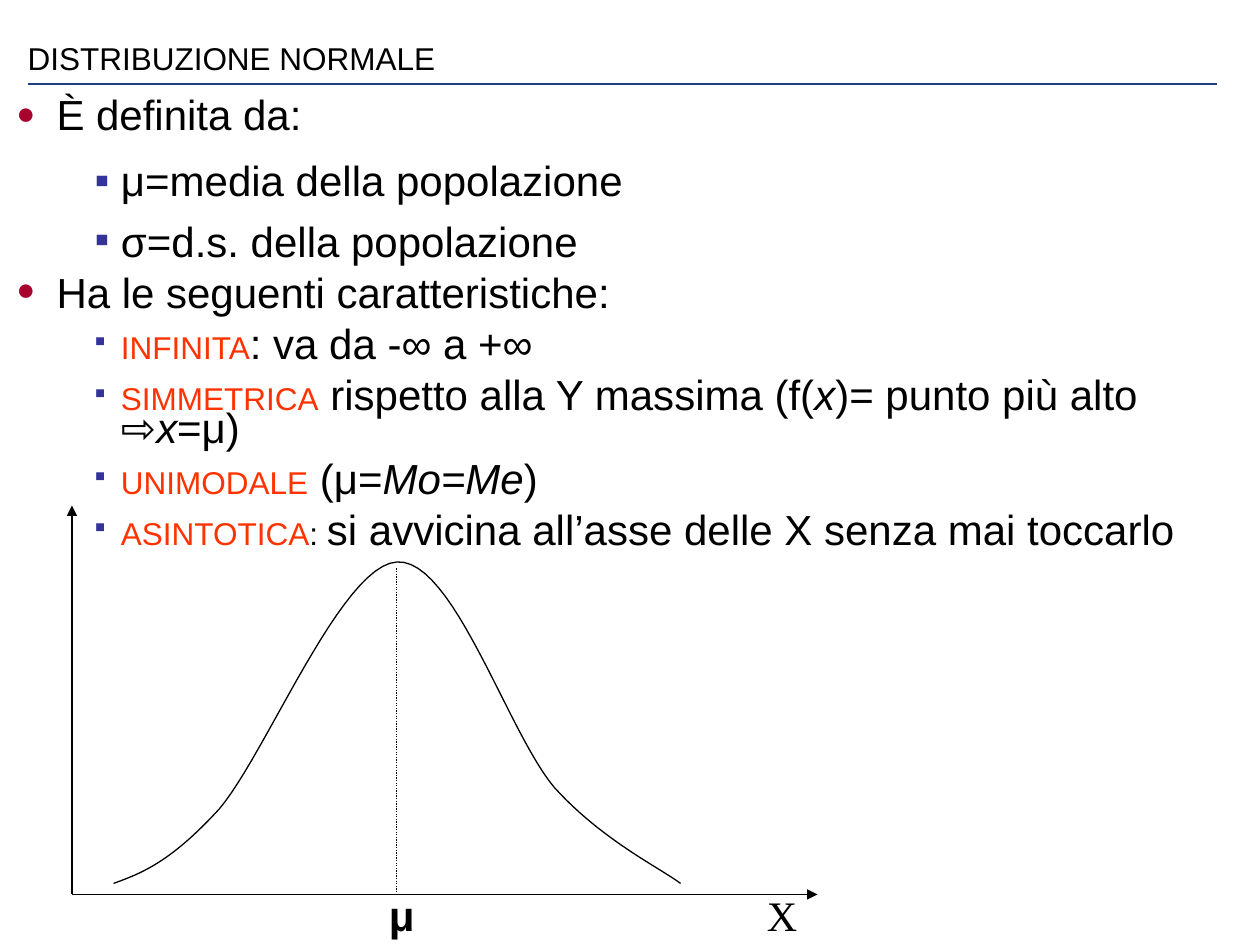
from dataclasses import dataclass

from lxml.etree import SubElement
from pptx import Presentation
from pptx.dml.color import RGBColor
from pptx.enum.dml import MSO_LINE
from pptx.enum.shapes import MSO_CONNECTOR
from pptx.enum.text import MSO_ANCHOR
from pptx.oxml.ns import qn
from pptx.util import Cm, Pt


@dataclass(frozen=True)
class Theme:
    ink: str = "000000"
    rule: str = "1E3F82"
    accent: str = "FF3300"
    dot: str = "A5032D"
    square: str = "333399"
    sans: str = "Arial"
    serif: str = "Times New Roman"
    large: int = 24
    small: int = 18
    thin: float = 0.75


THEME = Theme()
NORMAL = {"size": Pt(THEME.large), "name": THEME.sans}
ITALIC = NORMAL | {"italic": True}
SMALL = NORMAL | {"size": Pt(THEME.small)}
KEYWORD = SMALL | {"color": THEME.accent}

BULLETS = [
    {"level": 0, "char": "●", "color": THEME.dot, "scale": 75, "left": 0.81, "hang": 0.81},
    {"level": 1, "char": "▪", "color": THEME.square, "scale": 100, "left": 2.11, "hang": 0.53},
]

BODY = [
    (0, 0.8, 0, [("È definita da:", NORMAL)]),
    (1, 0.8, 15, [("μ=media della popolazione", NORMAL)]),
    (1, 0.65, 15, [("σ=d.s. della popolazione", NORMAL)]),
    (0, 0.65, 10.5, [("Ha le seguenti caratteristiche:", NORMAL)]),
    (1, 0.65, 10.5, [("INFINITA", KEYWORD), (": va da -∞ a +∞", NORMAL)]),
    (1, 0.65, 10.5, [
        ("SIMMETRICA", KEYWORD), (" rispetto alla Y massima (f(", NORMAL), ("x", ITALIC),
        (")= punto più alto ⇨", NORMAL), ("x", ITALIC), ("=μ)", NORMAL)]),
    (1, 0.65, 10.5, [
        ("UNIMODALE", KEYWORD), (" (μ=", NORMAL), ("Mo=Me", ITALIC), (")", NORMAL)]),
    (1, 0.65, 10.5, [
        ("ASINTOTICA", KEYWORD), (": ", SMALL),
        ("si avvicina all’asse delle X senza mai toccarlo", NORMAL)]),
]

ORIGIN_X, ORIGIN_Y = 1.45, 18.03
MEAN_X = 8.0
BELL_START = (2.29, 17.81)
BELL_CURVES = [
    ((2.87, 17.6), (3.45, 17.37), (4.42, 16.31)),
    ((5.36, 15.21), (6.88, 11.4), (MEAN_X, 11.33)),
    ((9.14, 11.25), (10.24, 14.78), (11.18, 15.88)),
    ((12.14, 16.94), (13.31, 17.5), (13.72, 17.81)),
]


def bezier_points(start, curves, steps=24):
    for first, second, end in curves:
        for step in range(1, steps + 1):
            t = step / steps
            u = 1 - t
            yield tuple(
                Cm(u**3 * a + 3 * u * u * t * b + 3 * u * t * t * c + t**3 * d)
                for a, b, c, d in zip(start, first, second, end)
            )
        start = end


class SlideBuilder:
    def __init__(self, page, theme):
        self.page = page
        self.theme = theme

    def style_line(self, line, color, width):
        line.color.rgb = RGBColor.from_string(color)
        line.width = Pt(width)

    def add_line(self, start, end, color=None, width=None, dash=None, arrow=False):
        line = self.page.shapes.add_connector(
            MSO_CONNECTOR.STRAIGHT, *map(Cm, start), *map(Cm, end))
        self.style_line(line.line, color or self.theme.ink, width or self.theme.thin)
        if dash:
            line.line.dash_style = dash
        if arrow:
            SubElement(line.line._get_or_add_ln(), qn("a:tailEnd"), type="triangle")
        SubElement(line._element.spPr, qn("a:effectLst"))

    def add_curve(self, start, curves):
        builder = self.page.shapes.build_freeform(*map(Cm, start))
        builder.add_line_segments(list(bezier_points(start, curves)), close=False)
        curve = builder.convert_to_shape()
        curve.fill.background()
        curve.shadow.inherit = False
        self.style_line(curve.line, self.theme.ink, self.theme.thin)

    def add_box(self, left, top, width, height, margins=(0, 0), wrap=True,
                anchor=MSO_ANCHOR.TOP):
        box = self.page.shapes.add_textbox(*map(Cm, (left, top, width, height)))
        side, edge = map(Cm, margins)
        frame_format = {
            "margin_left": side, "margin_right": side, "margin_top": edge,
            "margin_bottom": edge, "word_wrap": wrap, "vertical_anchor": anchor,
        }
        for key, value in frame_format.items():
            setattr(box.text_frame, key, value)
        return box.text_frame

    def add_spans(self, para, spans):
        for text, text_format in spans:
            span = para.add_run()
            span.text = text
            color = text_format.get("color", self.theme.ink)
            span.font.color.rgb = RGBColor.from_string(color)
            for key, value in text_format.items():
                if key != "color":
                    setattr(span.font, key, value)

    def add_text(self, spans, *place, **options):
        self.add_spans(self.add_box(*place, **options).paragraphs[0], spans)

    def add_bullet(self, para, bullet):
        para.level = bullet["level"]
        properties = para._p.get_or_add_pPr()
        properties.set("marL", str(Cm(bullet["left"])))
        properties.set("indent", str(-Cm(bullet["hang"])))
        color = SubElement(properties, qn("a:buClr"))
        SubElement(color, qn("a:srgbClr"), val=bullet["color"])
        SubElement(properties, qn("a:buSzPct"), val=str(bullet["scale"] * 1000))
        SubElement(properties, qn("a:buFont"), typeface=self.theme.sans)
        SubElement(properties, qn("a:buChar"), char=bullet["char"])

    def add_list(self, items, *place):
        frame = self.add_box(*place)
        for index, (level, spacing, before, spans) in enumerate(items):
            para = frame.add_paragraph() if index else frame.paragraphs[0]
            self.add_bullet(para, BULLETS[level])
            para.line_spacing = spacing
            if before:
                para.space_before = Pt(before)
            self.add_spans(para, spans)


def main():
    deck = Presentation()
    deck.slide_width, deck.slide_height = Cm(25.4), Cm(19.05)
    page = deck.slides.add_slide(deck.slide_layouts[6])
    slide = SlideBuilder(page, THEME)

    slide.add_line((0.56, 1.7), (24.54, 1.7), color=THEME.rule, width=1)
    slide.add_list(BODY, 0.33, 1.98, 24.84, 12.8)
    slide.add_curve(BELL_START, BELL_CURVES)
    slide.add_line((ORIGIN_X, ORIGIN_Y), (16.48, ORIGIN_Y), arrow=True)
    slide.add_line((ORIGIN_X, ORIGIN_Y), (ORIGIN_X, 10.19), arrow=True)
    slide.add_line((MEAN_X, 11.46), (MEAN_X, ORIGIN_Y), dash=MSO_LINE.ROUND_DOT)

    label_margins = (0.25, 0.13)
    slide.add_text([("X", NORMAL | {"name": THEME.serif})],
                   15.21, 17.81, 1.07, 1.27, margins=label_margins)
    slide.add_text([("μ", NORMAL | {"bold": True})],
                   7.59, 17.81, 0.99, 1.27, margins=label_margins, wrap=False)
    slide.add_text([("DISTRIBUZIONE NORMALE", SMALL)],
                   0.56, 0.03, 22.76, 1.52, anchor=MSO_ANCHOR.BOTTOM)
    deck.save("out.pptx")


if __name__ == "__main__":
    main()
